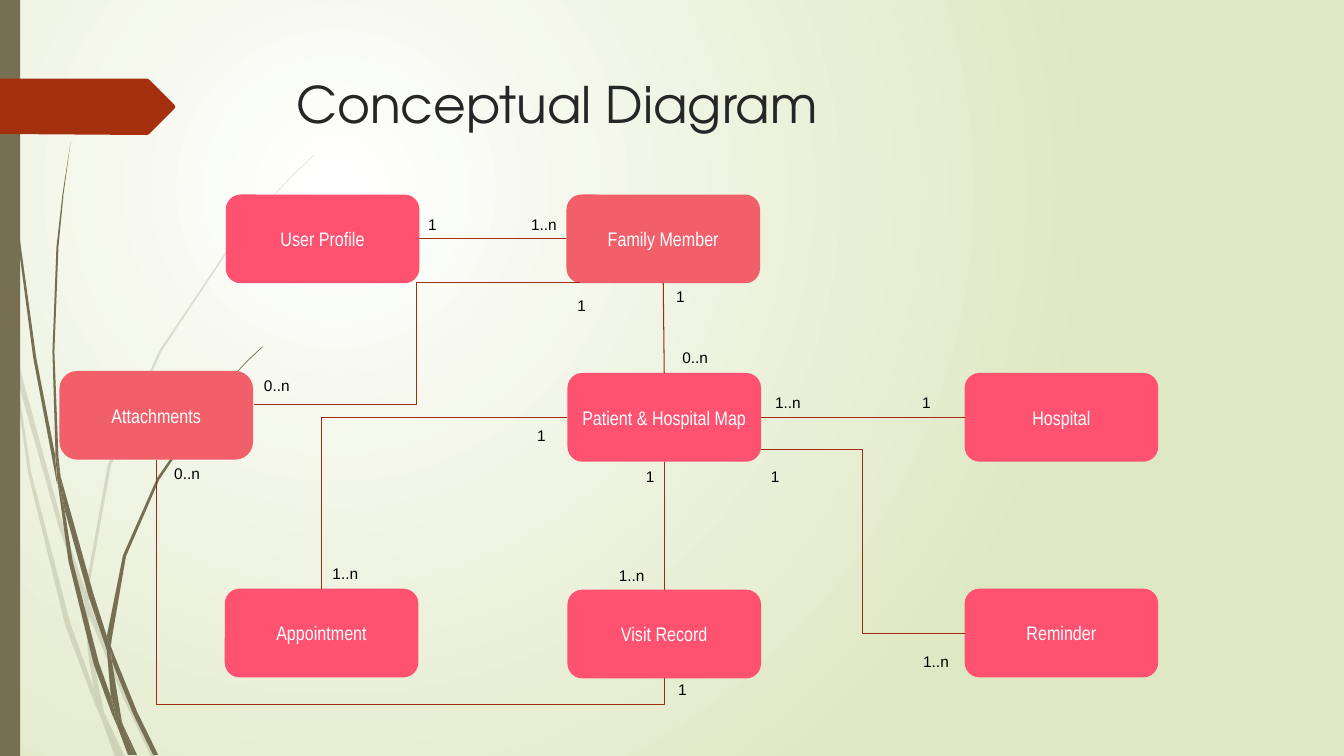
from dataclasses import dataclass

from lxml import etree
from pptx import Presentation
from pptx.dml.color import RGBColor
from pptx.enum.shapes import MSO_CONNECTOR, MSO_SHAPE
from pptx.enum.text import MSO_ANCHOR, MSO_AUTO_SIZE, PP_ALIGN
from pptx.oxml.ns import qn
from pptx.util import Pt

STRAIGHT, ELBOW = MSO_CONNECTOR.STRAIGHT, MSO_CONNECTOR.ELBOW
RECTANGLE, ROUNDED = MSO_SHAPE.RECTANGLE, MSO_SHAPE.ROUNDED_RECTANGLE
TOP, LEFT, BOTTOM, RIGHT = range(4)  # connection sites of a box


@dataclass(frozen=True)
class Theme:
    olive: RGBColor = RGBColor.from_string("766F54")
    rust: RGBColor = RGBColor.from_string("A53010")
    line: RGBColor = RGBColor.from_string("9E2E0F")
    pink: RGBColor = RGBColor.from_string("FF5270")
    coral: RGBColor = RGBColor.from_string("F15F6B")
    white: RGBColor = RGBColor.from_string("FFFFFF")
    green: RGBColor = RGBColor.from_string("DFE8C4")
    title: RGBColor = RGBColor.from_string("262626")
    black: RGBColor = RGBColor.from_string("000000")
    title_size: int = 36
    box_size: int = 14
    label_size: int = 11


THEME = Theme()
OUTLINE_UNIT = Pt(0.72)

PALE_GRASS = [
    [(11, 350), (9, 322), (0, 282), (0, 299), (10, 344)],
    [(58, 522), (84, 599), (85, 586), (62, 520), (14, 345), (17, 376)],
    [(92, 607), (88, 596), (88, 610), (123, 694), (150, 751), (155, 751), (127, 692)],
    [(119, 751), (124, 751), (105, 711)],
    [(93, 683), (70, 619), (31, 469), (17, 376), (11, 350), (28, 470), (65, 621),
     (92, 693), (101, 714), (99, 707)],
    [(84, 599), (87, 646), (93, 683), (96, 692), (105, 711), (103, 706), (91, 646),
     (88, 610), (88, 608)],
    [(88, 584), (110, 462), (160, 349), (229, 245), (268, 198), (290, 175), (312, 154),
     (312, 153), (289, 175), (268, 197), (228, 244), (158, 348), (107, 461), (85, 584),
     (85, 586), (88, 596)],
    [(101, 714), (114, 751), (119, 751)],
    [(88, 608), (88, 610), (88, 596), (85, 586), (84, 599)],
    [(96, 692), (93, 683), (99, 707), (101, 714), (119, 751), (105, 711)],
]
DARK_GRASS = [
    [(7, 110), (17, 233), (33, 355), (56, 477), (57, 481), (55, 457), (55, 453),
     (36, 355), (19, 232), (8, 109), (5, 48), (4, 0), (3, 0), (4, 48)],
    [(88, 592), (106, 645), (106, 631), (93, 590), (60, 472), (64, 505)],
    [(113, 649), (110, 641), (111, 656), (132, 708), (152, 749), (157, 749), (136, 706)],
    [(110, 691), (98, 657), (72, 556), (64, 505), (57, 477), (68, 557), (93, 659),
     (111, 708), (117, 722), (116, 717)],
    [(60, 472), (58, 453), (54, 349), (58, 245), (63, 193), (70, 141), (62, 193),
     (56, 245), (52, 349), (55, 449)],
    [(133, 749), (136, 749), (122, 719)],
    [(57, 477), (64, 505), (60, 472), (55, 449), (55, 453)],
    [(111, 633), (125, 552), (158, 476), (205, 406), (231, 374), (245, 359), (261, 344),
     (260, 344), (245, 358), (231, 373), (204, 405), (156, 474), (122, 551), (106, 631),
     (110, 641)],
    [(117, 722), (127, 749), (131, 749)],
    [(106, 645), (110, 691), (116, 706), (122, 719), (121, 716), (111, 656), (109, 651)],
    [(106, 645), (109, 651), (111, 656), (110, 641), (106, 631)],
    [(116, 706), (110, 691), (116, 717), (117, 722), (130, 749), (133, 749), (122, 719)],
]
TITLE_TAG = [(0, 78), (146, 78), (148, 79), (173, 104), (174, 106), (173, 108),
             (148, 133), (146, 134), (0, 133)]

BOX_SIZE = (138.24, 63.36)
BOXES = [  # name, left, top, colour
    ("User Profile", 161.28, 138.96, THEME.pink),
    ("Family Member", 404.64, 138.96, THEME.coral),
    ("Patient & Hospital Map", 405.36, 266.4, THEME.pink),
    ("Hospital", 689.04, 266.4, THEME.pink),
    ("Appointment", 160.56, 420.48, THEME.pink),
    ("Reminder", 689.04, 420.48, THEME.pink),
    ("Visit Record", 405.36, 421.2, THEME.pink),
    ("Attachments", 42.48, 264.96, THEME.coral),
]
LINKS = [
    ("Family Member", LEFT, "User Profile", RIGHT),
    ("Family Member", BOTTOM, "Patient & Hospital Map", TOP),
    ("Patient & Hospital Map", BOTTOM, "Visit Record", TOP),
    ("Patient & Hospital Map", RIGHT, "Hospital", LEFT),
]
LABELS = [  # multiplicity, left, top
    ("1..n", 372.24, 149.76), ("1", 298.8, 149.76), ("1", 651.6, 277.2),
    ("0..n", 480.24, 244.8), ("1", 475.92, 201.6), ("1..n", 546.48, 277.2),
    ("1..n", 230.4, 399.6), ("1", 376.56, 300.96), ("1", 454.32, 329.76),
    ("1", 543.6, 329.76), ("1..n", 434.88, 401.04), ("1..n", 652.32, 462.24),
    ("0..n", 181.44, 264.96), ("1", 405.36, 208.08), ("0..n", 117.36, 328.32),
    ("1", 477.36, 482.4),
]


def paint_background(slide):
    """Radial gradient centred on the upper left quarter."""
    fill = slide.background.fill
    fill.gradient()
    for stop, color in zip(fill.gradient_stops, (THEME.white, THEME.green)):
        stop.color.rgb = color
    gradient = next(slide.element.iter(qn("a:gradFill")))
    gradient.remove(gradient.find(qn("a:lin")))
    circle = etree.SubElement(gradient, qn("a:path"), path="circle")
    etree.SubElement(circle, qn("a:fillToRect"),
                     l="50000", t="50000", r="100000", b="100000")


def paint(shape, color, alpha=None):
    shape.shadow.inherit = False
    shape.fill.solid()
    shape.fill.fore_color.rgb = color
    shape.line.fill.background()
    if alpha is not None:
        rgb = next(shape.element.spPr.iter(qn("a:srgbClr")))
        etree.SubElement(rgb, qn("a:alpha"), val=str(alpha * 1000))


def add_outline(slide, points, color, alpha=None):
    builder = slide.shapes.build_freeform(*points[0], scale=OUTLINE_UNIT)
    builder.add_line_segments(points[1:], close=True)
    paint(builder.convert_to_shape(), color, alpha)


def write(shape, text, font_name, size, color):
    paragraph = shape.text_frame.paragraphs[0]
    paragraph.text = text
    paragraph.font.name = font_name
    paragraph.font.size = Pt(size)
    paragraph.font.color.rgb = color
    return paragraph


def add_text(slide, text, left, top, width, height, font_name, size, color):
    shape = slide.shapes.add_textbox(Pt(left), Pt(top), Pt(width), Pt(height))
    shape.text_frame.word_wrap = True
    write(shape, text, font_name, size, color)
    return shape


def add_box(slide, name, left, top, color):
    shape = slide.shapes.add_shape(ROUNDED, Pt(left), Pt(top), *map(Pt, BOX_SIZE))
    paint(shape, color)
    shape.text_frame.word_wrap = True
    shape.text_frame.vertical_anchor = MSO_ANCHOR.MIDDLE
    write(shape, name, "Arial Narrow", THEME.box_size, THEME.white).alignment = PP_ALIGN.CENTER
    return shape


def add_line(slide, kind, begin=(0, 0), end=(0, 0)):
    connector = slide.shapes.add_connector(kind, *map(Pt, (*begin, *end)))
    connector.line.color.rgb = THEME.line
    connector.line.width = Pt(0.75)
    etree.SubElement(connector._element.spPr, qn("a:effectLst"))
    return connector


def link(slide, kind, begin_box, begin_site, end_box, end_site):
    connector = add_line(slide, kind)
    connector.begin_connect(begin_box, begin_site)
    connector.end_connect(end_box, end_site)
    return connector


def add_drop_elbow(slide, begin, end, bend):
    """Elbow that leaves downwards and turns at the share bend of its height."""
    (x1, y1), (x2, y2) = begin, end
    middle_x, middle_y = (x1 + x2) / 2, (y1 + y2) / 2
    half_width, half_height = (x2 - x1) / 2, (y2 - y1) / 2
    connector = add_line(slide, ELBOW, (middle_x - half_height, middle_y + half_width),
                         (middle_x + half_height, middle_y - half_width))
    properties = connector._element.spPr
    properties.find(qn("a:xfrm")).set("rot", "5400000")
    guides = next(properties.iter(qn("a:avLst")))
    etree.SubElement(guides, qn("a:gd"), name="adj1", fmla=f"val {round(bend * 100000)}")


def main():
    presentation = Presentation()
    presentation.slide_width, presentation.slide_height = Pt(960), Pt(540)
    slide = presentation.slides.add_slide(presentation.slide_layouts[6])
    paint_background(slide)
    for blade in PALE_GRASS:
        add_outline(slide, blade, THEME.olive, alpha=20)
    for blade in DARK_GRASS:
        add_outline(slide, blade, THEME.olive)
    paint(slide.shapes.add_shape(RECTANGLE, 0, 0, Pt(14.4), Pt(540)), THEME.olive)
    add_outline(slide, TITLE_TAG, THEME.rust)
    add_text(slide, "Conceptual Diagram", 204.48, 48.96, 702, 48.96,
             "TeX Gyre Adventor", THEME.title_size, THEME.title)

    boxes = {box[0]: add_box(slide, *box) for box in BOXES}
    boxes["Attachments"].adjustments[0] = 0.2
    for begin, begin_site, end, end_site in LINKS:
        link(slide, STRAIGHT, boxes[begin], begin_site, boxes[end], end_site)
    corner = link(slide, ELBOW, boxes["Patient & Hospital Map"], LEFT,
                  boxes["Appointment"], TOP)
    next(corner._element.iter(qn("a:prstGeom"))).set("prst", "bentConnector2")
    add_line(slide, ELBOW, (543.6, 321.12), (689.04, 452.52))
    add_line(slide, ELBOW, (414, 201.6), (181.44, 288.72))
    add_drop_elbow(slide, (111.6, 328.32), (474.48, 484.56), bend=1.12)

    for text, left, top in LABELS:
        label = add_text(slide, text, left, top, 37.44, 20.88, "Arial",
                         THEME.label_size, THEME.black)
        label.text_frame.auto_size = MSO_AUTO_SIZE.SHAPE_TO_FIT_TEXT
    presentation.save("out.pptx")


if __name__ == "__main__":
    main()
